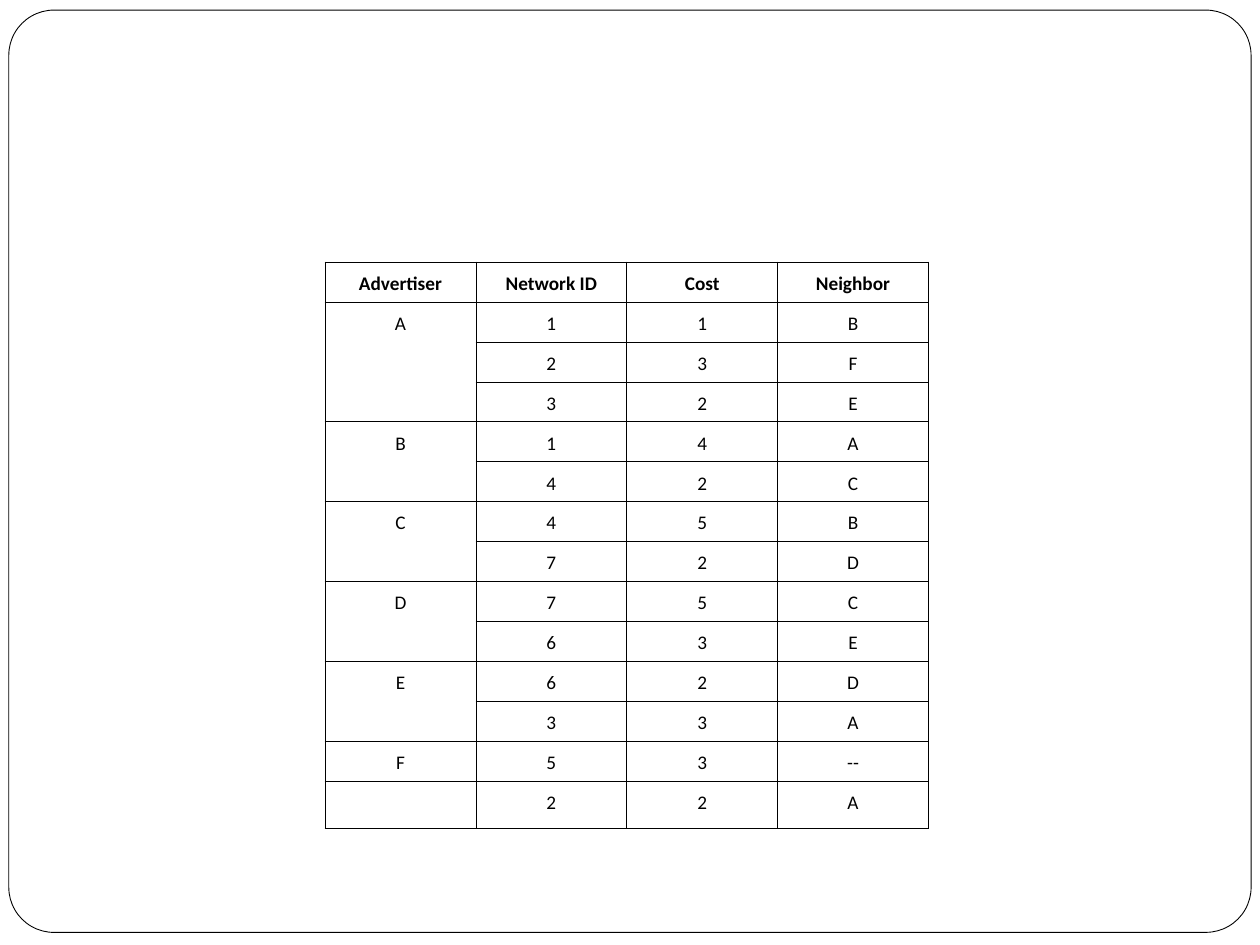
from dataclasses import dataclass

from lxml.etree import SubElement
from pptx import Presentation
from pptx.dml.color import RGBColor
from pptx.enum.shapes import MSO_SHAPE
from pptx.enum.text import PP_ALIGN
from pptx.oxml.ns import qn
from pptx.util import Inches, Pt


@dataclass(frozen=True)
class Theme:
    ink: str = "000000"
    paper: str = "FFFFFF"
    font: str = "Calibri"
    size: float = 11
    frame: float = 0.5
    rule: float = 0.45
    lead: float = 1.15


THEME = Theme()
WIDE, HIGH = Inches(10), Inches(7.5)
HEADS = ("Advertiser", "Network ID", "Cost", "Neighbor")
# Each group: advertiser, then its links as network, cost and neighbor
GROUPS = (
    ("A", ("1 1 B", "2 3 F", "3 2 E")),
    ("B", ("1 4 A", "4 2 C")),
    ("C", ("4 5 B", "7 2 D")),
    ("D", ("7 5 C", "6 3 E")),
    ("E", ("6 2 D", "3 3 A")),
    ("F", ("5 3 --",)),
    ("", ("2 2 A",)),
)


def color(code):
    return RGBColor.from_string(code)


def add_frame(slide, box):
    frame = slide.shapes.add_shape(MSO_SHAPE.ROUNDED_RECTANGLE, *box)
    frame.adjustments[0] = 0.049
    frame.shadow.inherit = False
    frame.fill.solid()
    frame.fill.fore_color.rgb = color(THEME.paper)
    frame.line.color.rgb = color(THEME.ink)
    frame.line.width = Pt(THEME.frame)


def rule_cell(cell, sides):
    props = cell._tc.get_or_add_tcPr()
    for side in sides:
        line = SubElement(props, qn(f"a:ln{side}"), w=str(Pt(THEME.rule)))
        fill = SubElement(line, qn("a:solidFill"))
        SubElement(fill, qn("a:srgbClr"), val=THEME.ink)
    cell.fill.background()


def fill_cell(cell, text, bold=False):
    pad = 0.05 if text else 0.035
    cell.margin_left = cell.margin_right = Inches(0.08)
    cell.margin_top = cell.margin_bottom = Inches(pad)
    if not text:
        return
    para = cell.text_frame.paragraphs[0]
    para.text = text
    para.alignment = PP_ALIGN.CENTER
    para.line_spacing = THEME.lead
    font = para.runs[0].font
    font.name, font.size, font.bold = THEME.font, Pt(THEME.size), bold
    font.color.rgb = color(THEME.ink)


def add_routes(slide, box):
    """Link table, with one merged advertiser cell for each group."""
    count = 1 + sum(len(links) for _, links in GROUPS)
    table = slide.shapes.add_table(count, len(HEADS), *box).table
    table.first_row = table.horz_banding = False
    for cell, head in zip(table.rows[0].cells, HEADS):
        fill_cell(cell, head, bold=True)
    row = 1
    for name, links in GROUPS:
        last = row + len(links) - 1
        if last > row:
            table.cell(row, 0).merge(table.cell(last, 0))
        fill_cell(table.cell(row, 0), name)
        for link in links:
            for col, text in enumerate(link.split(), 1):
                fill_cell(table.cell(row, col), text)
            row += 1
    for cell in table.iter_cells():
        rule_cell(cell, "LR" if cell.is_spanned else "LRTB")


def main():
    deck = Presentation()
    deck.slide_width, deck.slide_height = WIDE, HIGH
    slide = deck.slides.add_slide(deck.slide_layouts[6])
    add_frame(slide, (Inches(0.07), Inches(0.08), Inches(9.86), Inches(7.32)))
    add_routes(slide, (Inches(2.58), Inches(2.08), Inches(4.79), Inches(4.23)))
    deck.save("out.pptx")


if __name__ == "__main__":
    main()
